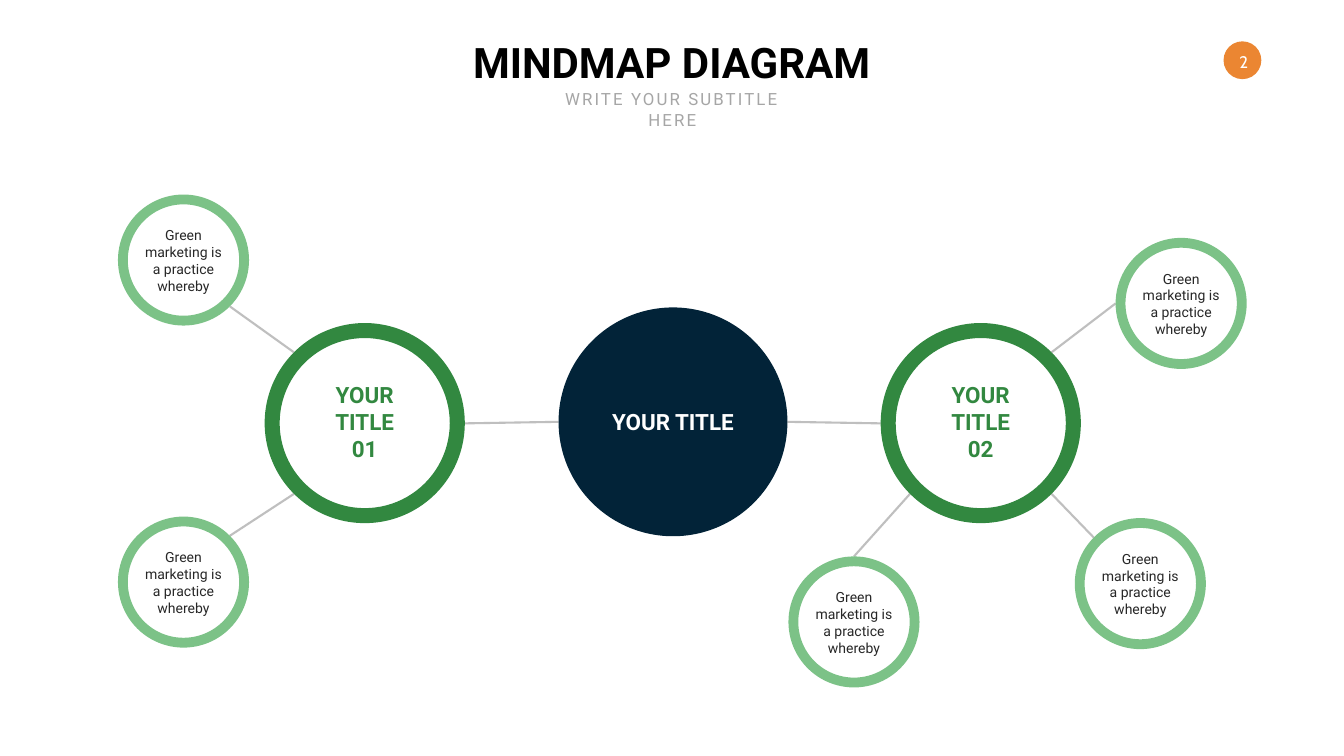
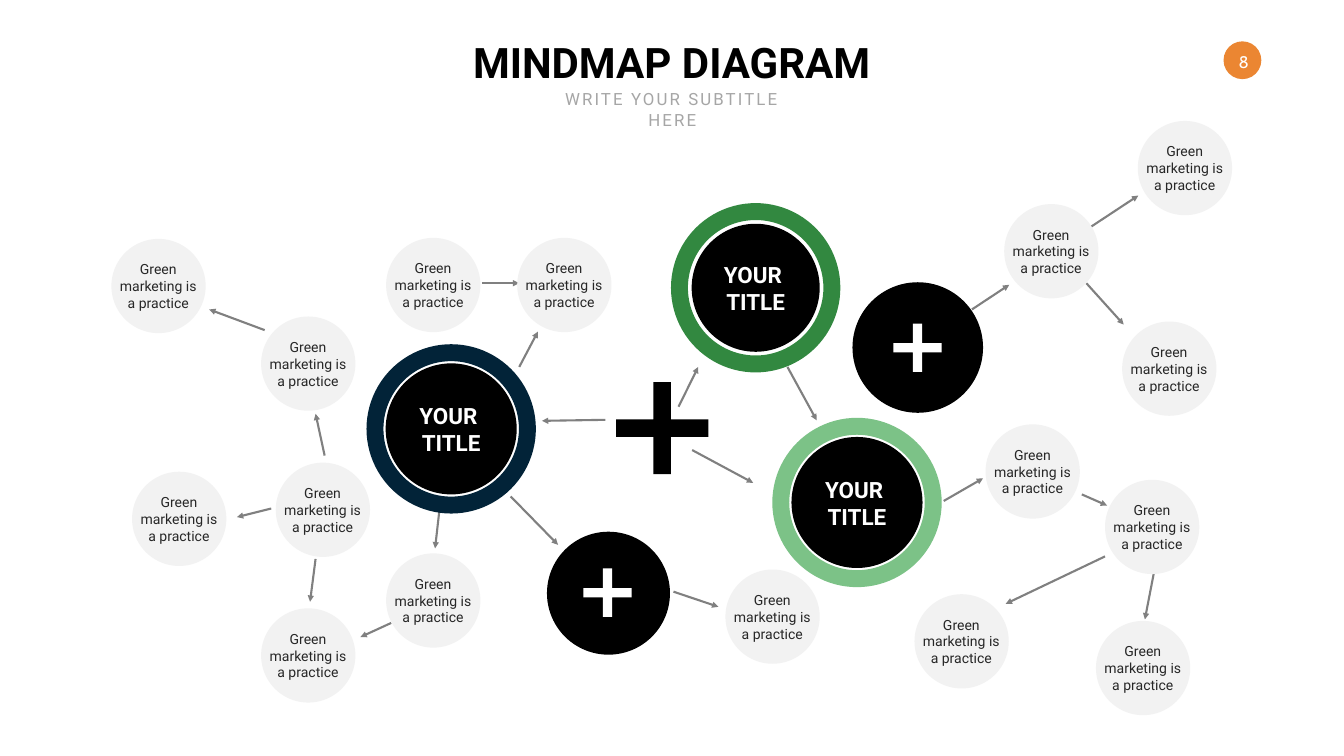
import pptx
import pptx.util
import pptx.dml.color
import pptx.enum.shapes
import pptx.enum.text
import pptx.oxml.ns
import pptx.oxml.xmlchemy
from dataclasses import dataclass

Inches = pptx.util.Inches
Shape = pptx.enum.shapes.MSO_SHAPE
Anchor = pptx.enum.text.MSO_ANCHOR
qn = pptx.oxml.ns.qn


@dataclass(frozen=True)
class Theme:
    # Colours
    navy: str = "022338"
    green: str = "328840"
    mint: str = "7CC287"
    orange: str = "EB8632"
    black: str = "000000"
    white: str = "FFFFFF"
    pale: str = "F2F2F2"
    body: str = "272727"
    muted: str = "A6A6A6"
    link: str = "BFBFBF"
    arrow: str = "808080"
    # Fonts, sizes and line width in points
    font: str = "Roboto"
    num_font: str = "Cabin"
    head: int = 60
    label: int = 32
    sub: int = 24
    small: int = 20
    stroke: int = 3


def color(code):
    return pptx.dml.color.RGBColor.from_string(code)


class Deck:
    def __init__(self, theme):
        self.theme = theme
        self.prs = pptx.Presentation()
        self.prs.slide_width = Inches(26.66)
        self.prs.slide_height = Inches(15)
        self.slide = None

    # Basic elements
    def shape(self, kind, x, y, size, fill=None, adj=None):
        item = self.slide.shapes.add_shape(
            kind, Inches(x), Inches(y), Inches(size), Inches(size))
        item.shadow.inherit = False
        item.line.fill.background()
        if fill:
            item.fill.solid()
            item.fill.fore_color.rgb = color(fill)
        else:
            item.fill.background()
        if adj is not None:
            item.adjustments[0] = adj
        return item

    def typeset(self, frame, lines, size, tint, bold=False, font=None, gap=None):
        frame.word_wrap = True
        for i, line in enumerate(lines):
            par = frame.paragraphs[0] if i == 0 else frame.add_paragraph()
            par.text = line
            par.alignment = pptx.enum.text.PP_ALIGN.CENTER
            par.font.size = pptx.util.Pt(size)
            par.font.name = font or self.theme.font
            par.font.bold = bold
            par.font.color.rgb = color(tint)
            if gap:
                par._p.pPr.find(qn("a:defRPr")).set("spc", str(gap * 100))

    def text(self, x, y, w, h, lines, size, tint, bold=False,
             anchor=Anchor.MIDDLE, gap=None):
        box = self.slide.shapes.add_textbox(
            Inches(x), Inches(y), Inches(w), Inches(h))
        frame = box.text_frame
        frame.vertical_anchor = anchor
        self.typeset(frame, lines, size, tint, bold, gap=gap)
        frame.auto_size = pptx.enum.text.MSO_AUTO_SIZE.SHAPE_TO_FIT_TEXT

    def line(self, x1, y1, x2, y2, tint, arrow=False):
        item = self.slide.shapes.add_connector(
            pptx.enum.shapes.MSO_CONNECTOR.STRAIGHT,
            Inches(x1), Inches(y1), Inches(x2), Inches(y2))
        item.line.color.rgb = color(tint)
        item.line.width = pptx.util.Pt(self.theme.stroke)
        props = item._element.spPr
        if arrow:
            end = pptx.oxml.xmlchemy.OxmlElement("a:tailEnd")
            end.set("type", "triangle")
            props.find(qn("a:ln")).append(end)
        props.append(pptx.oxml.xmlchemy.OxmlElement("a:effectLst"))

    # Slide frame: page badge, title and subtitle
    def start(self, page):
        t = self.theme
        self.slide = self.prs.slides.add_slide(self.prs.slide_layouts[6])
        self.shape(Shape.OVAL, 24.27, 0.82, 0.75, t.orange)
        frame = self.shape(Shape.OVAL, 24.32, 0.87, 0.7).text_frame
        frame.margin_left = frame.margin_right = 0
        frame.margin_top = frame.margin_bottom = 0
        frame.vertical_anchor = Anchor.MIDDLE
        self.typeset(frame, [str(page)], t.sub, t.white, font=t.num_font)
        self.text(9.01, 0.67, 8.63, 1.11, ["MINDMAP DIAGRAM"], t.head,
                  t.black, True, Anchor.TOP)
        self.text(10.62, 1.72, 5.43, 0.5, ["WRITE YOUR SUBTITLE HERE"], t.sub,
                  t.muted, anchor=Anchor.TOP, gap=3)

    # Mind map parts
    def branch(self, x, y, lines, w):
        t, size = self.theme, 3.97
        self.shape(Shape.DONUT, x, y, size, t.green, 0.075)
        self.text(x + (size - w) / 2, 7.78, w, 1.18, lines, t.label, t.green, True)

    def leaf(self, x, y):
        t = self.theme
        self.shape(Shape.DONUT, x, y, 2.6, t.mint, 0.075)
        self.text(x + 0.38, y + 0.58, 1.84, 1.45,
                  ["Green marketing is a practice whereby"], t.small, t.body)

    def node(self, x, y):
        t = self.theme
        self.shape(Shape.OVAL, x, y, 1.87, t.pale)
        self.text(x + 0.06, y + 0.38, 1.74, 1.11,
                  ["Green marketing is a practice"], t.small, t.body)

    def hub(self, x, y, tint, core=2.6):
        t, size = self.theme, 3.36
        inset = (size - core) / 2
        self.shape(Shape.OVAL, x + inset, y + inset, core, t.black)
        self.shape(Shape.DONUT, x, y, size, tint, 0.1)
        self.text(x + 0.9, y + 1.1, 1.56, 1.18, ["YOUR ", "TITLE"],
                  t.label, t.white, True, Anchor.TOP)

    def plus(self, x, y, size, tint):
        self.shape(Shape.CROSS, x, y, size, tint, 0.405)


# Slide with two branches around a centre
def show_pair(deck):
    t = deck.theme
    deck.start(2)
    links = [
        (4.56, 6.08, 5.83, 6.99), (4.56, 10.63, 5.83, 9.8),
        (20.86, 9.8, 21.7, 10.67), (18.05, 9.8, 16.94, 11.04),
        (22.13, 6.02, 20.86, 6.99), (15.62, 8.37, 17.47, 8.4),
        (9.22, 8.4, 11.08, 8.37),
    ]
    for ends in links:
        deck.line(*ends, t.link)

    deck.shape(Shape.OVAL, 11.08, 6.1, 4.54, t.navy)
    deck.text(12.01, 8.05, 2.68, 0.64, ["YOUR TITLE"], t.label, t.white, True)
    deck.branch(5.25, 6.41, ["YOUR", "TITLE 01"], 1.88)
    deck.branch(17.47, 6.41, ["YOUR", "TITLE 02"], 1.96)
    for spot in [(2.34, 10.25), (2.34, 3.86), (22.13, 4.72),
                 (21.32, 10.28), (15.64, 11.04)]:
        deck.leaf(*spot)


# Slide with three hubs and a web of nodes
def show_web(deck):
    t = deck.theme
    deck.start(8)
    arrows = [
        # Right side
        (19.28, 6.14, 20.02, 5.65), (21.64, 4.5, 22.58, 3.88),
        (21.55, 5.62, 22.29, 6.44), (18.72, 9.94, 19.5, 9.49),
        (21.46, 9.81, 21.96, 10.03), (21.92, 11.04, 19.95, 11.98),
        (22.89, 11.36, 22.71, 12.29),
        # Centre
        (13.46, 8.07, 13.85, 7.28), (13.73, 8.93, 14.94, 9.58),
        (12.01, 8.33, 10.75, 8.35), (13.36, 11.74, 14.25, 12.04),
        (15.62, 7.28, 16.2, 8.34),
        # Left side
        (8.72, 10.09, 8.63, 10.88), (10.13, 9.85, 11.07, 10.81),
        (6.26, 11.09, 6.15, 11.94), (5.38, 10.09, 4.7, 10.26),
        (7.76, 12.36, 7.15, 12.64), (5.25, 6.55, 4.15, 6.14),
        (6.44, 9.04, 6.26, 8.21), (10.3, 7.28, 10.67, 6.58),
        (9.56, 5.62, 10.3, 5.62),
    ]
    for ends in arrows:
        deck.line(*ends, t.arrow, arrow=True)

    nodes = [
        (22.57, 2.4), (19.92, 4.05), (22.26, 6.38), (21.92, 9.52),
        (19.55, 8.42), (18.14, 11.79), (7.66, 4.72), (21.74, 12.32),
        (10.26, 4.72), (5.18, 6.28), (2.21, 4.74), (2.62, 9.36),
        (5.47, 9.18), (7.66, 10.98), (5.18, 12.07), (14.39, 11.3),
    ]
    for spot in nodes:
        deck.node(*spot)

    deck.hub(13.31, 4.03, t.green, core=2.54)
    deck.hub(7.27, 6.83, t.navy)
    deck.hub(15.32, 8.29, t.mint)

    # Plus signs: one bare, two on black discs
    deck.plus(12.22, 7.58, 1.83, t.black)
    deck.shape(Shape.OVAL, 10.85, 10.55, 2.44, t.black)
    deck.plus(11.57, 11.28, 0.96, t.white)
    deck.shape(Shape.OVAL, 16.91, 5.6, 2.59, t.black)
    deck.plus(17.72, 6.42, 0.96, t.white)


def main():
    deck = Deck(Theme())
    show_pair(deck)
    show_web(deck)
    deck.prs.save("out.pptx")


if __name__ == "__main__":
    main()
